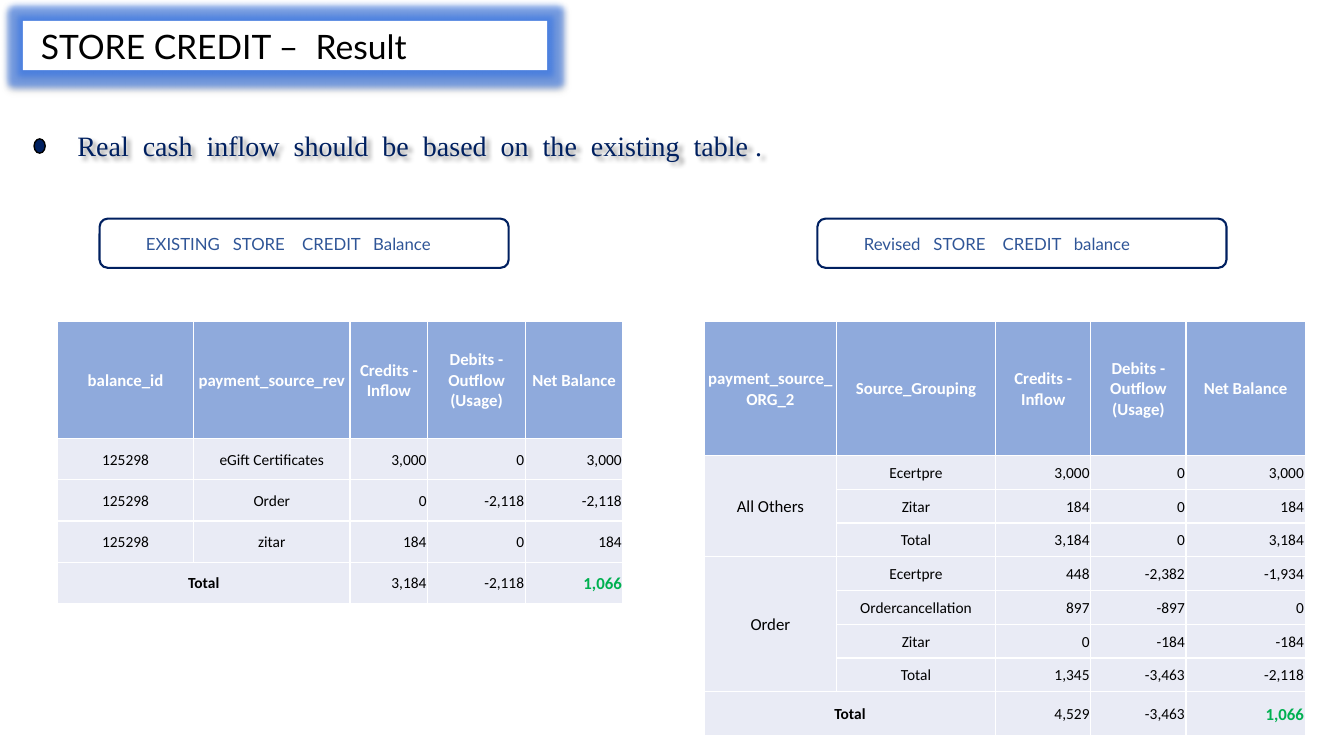
from lxml import etree
from pptx import Presentation
from pptx.dml.color import RGBColor
from pptx.enum.shapes import MSO_SHAPE
from pptx.enum.text import MSO_ANCHOR, PP_ALIGN
from pptx.oxml import parse_xml
from pptx.oxml.ns import nsdecls, qn
from pptx.util import Cm, Pt

RECTANGLE, ROUNDED, OVAL = MSO_SHAPE.RECTANGLE, MSO_SHAPE.ROUNDED_RECTANGLE, MSO_SHAPE.OVAL
MIDDLE = MSO_ANCHOR.MIDDLE
LEFT, CENTER, RIGHT = PP_ALIGN.LEFT, PP_ALIGN.CENTER, PP_ALIGN.RIGHT

NAVY, BLUE, BLACK, WHITE, GREEN = "002060", "2F5597", "000000", "FFFFFF", "00B050"
HEADER_FILL, BODY_FILL = "8FAADC", "E9EBF5"

EXISTING_ROWS = [
    ["balance_id", "payment_source_rev", "Credits - Inflow", "Debits - Outflow (Usage)", "Net Balance"],
    ["125298", "eGift Certificates", "3,000", "0", "3,000"],
    ["125298", "Order", "0", "-2,118", "-2,118"],
    ["125298", "zitar", "184", "0", "184"],
    ["Total", None, "3,184", "-2,118", "1,066"],
]
REVISED_ROWS = [
    ["payment_source_ORG_2", "Source_Grouping", "Credits - Inflow", "Debits - Outflow (Usage)", "Net Balance"],
    ["All Others", "Ecertpre", "3,000", "0", "3,000"],
    [None, "Zitar", "184", "0", "184"],
    [None, "Total", "3,184", "0", "3,184"],
    ["Order", "Ecertpre", "448", "-2,382", "-1,934"],
    [None, "Ordercancellation", "897", "-897", "0"],
    [None, "Zitar", "0", "-184", "-184"],
    [None, "Total", "1,345", "-3,463", "-2,118"],
    ["Total", None, "4,529", "-3,463", "1,066"],
]


def rgb(color):
    return RGBColor.from_string(color)


def set_values(target, values):
    for name, value in values.items():
        setattr(target, name, value)


def write(frame, text, font, size, color, bold=False, align=LEFT):
    para = frame.paragraphs[0]
    para.alignment = align
    span = para.add_run()
    span.text = text
    set_values(span.font, {"name": font, "size": Pt(size), "bold": bold})
    span.font.color.rgb = rgb(color)


def add_box(page, kind, place, fill=None, line=None, width=1.5):
    """Place is left, top, width and height in centimetres."""
    box = page.shapes.add_shape(kind, *map(Cm, place))
    box.shadow.inherit = False
    if fill:
        box.fill.solid()
        box.fill.fore_color.rgb = rgb(fill)
    else:
        box.fill.background()
    if line:
        box.line.color.rgb = rgb(line)
        box.line.width = Pt(width)
    else:
        box.line.fill.background()
    return box


def add_effect(box, tag, color, opacity, **sizes):
    effects = box._element.spPr.find(qn("a:effectLst"))
    effect = etree.SubElement(effects, qn(tag), {name: str(size) for name, size in sizes.items()})
    tint = etree.SubElement(effect, qn("a:srgbClr"), val=color)
    etree.SubElement(tint, qn("a:alpha"), val=str(opacity * 1000))


def add_title(page, text):
    box = add_box(page, RECTANGLE, (0.58, 0.53, 13.21, 1.24), fill=WHITE)
    add_effect(box, "a:glow", "3A78E8", 60, rad=Pt(8))
    add_effect(box, "a:outerShdw", BLACK, 32, blurRad=Pt(3.5), dist=Pt(2.2), dir=90 * 60000)
    set_values(box.text_frame, {"vertical_anchor": MIDDLE, "word_wrap": True, "margin_left": Cm(0.45)})
    write(box.text_frame, text, "Lato", 24, BLACK)


def add_statement(page, text):
    add_box(page, OVAL, (0.86, 3.5, 0.28, 0.36), fill=NAVY, line=BLACK, width=1)
    box = add_box(page, ROUNDED, (1.63, 2.9, 23.44, 1.5))
    add_effect(box, "a:outerShdw", BLACK, 43, blurRad=Pt(3), dist=Pt(3), dir=45 * 60000)
    set_values(box.text_frame, {"vertical_anchor": MIDDLE, "word_wrap": True})
    write(box.text_frame, text, "Times New Roman", 20, NAVY)


def add_label(page, left, text):
    add_box(page, ROUNDED, (left, 5.51, 10.31, 1.24), line=NAVY)
    box = page.shapes.add_textbox(Cm(left + 0.92), Cm(5.77), Cm(9.4), Cm(0.77))
    box.text_frame.word_wrap = True
    write(box.text_frame, text, "Lato", 12, BLUE)


def add_borders(cell):
    properties = cell._tc.get_or_add_tcPr()
    for side in "LRTB":
        properties.append(parse_xml(
            f'<a:ln{side} {nsdecls("a")} w="{Pt(1)}"><a:solidFill>'
            f'<a:srgbClr val="{WHITE}"/></a:solidFill></a:ln{side}>'))


def cell_style(row, column, last_row, last_column, merged):
    """Give the text format that a cell's place in the table calls for."""
    style = {"size": 11, "color": BLACK, "align": RIGHT if column > 1 else CENTER}
    if row == 0:
        style.update(size=12, color=WHITE, bold=True, align=CENTER)
    elif row == last_row and column == 0:
        style.update(bold=True)
    elif row == last_row and column == last_column:
        style.update(size=12, color=GREEN, bold=True)
    elif merged:
        style.update(size=12)
    return style


def add_balance_table(page, left, widths, heights, rows, merges):
    """Merges lists pairs of first and last cell, each as row and column."""
    frame = page.shapes.add_table(len(rows), len(widths), Cm(left), Cm(8.1),
                                  Cm(sum(widths)), Cm(sum(heights)))
    table = frame.table
    for column, width in zip(table.columns, widths):
        column.width = Cm(width)
    for row, height in zip(table.rows, heights):
        row.height = Cm(height)
    for first, last in merges:
        table.cell(*first).merge(table.cell(*last))
    for r, values in enumerate(rows):
        for c, text in enumerate(values):
            cell = table.cell(r, c)
            add_borders(cell)
            cell.fill.solid()
            cell.fill.fore_color.rgb = rgb(BODY_FILL if r else HEADER_FILL)
            set_values(cell, {"vertical_anchor": MIDDLE, "margin_left": Cm(0.03), "margin_right": Cm(0.03),
                              "margin_top": Cm(0.03), "margin_bottom": 0})
            if text:
                style = cell_style(r, c, len(rows) - 1, len(widths) - 1, cell.is_merge_origin)
                write(cell.text_frame, text, "Calibri", **style)


def main():
    deck = Presentation()
    set_values(deck, {"slide_width": Cm(33.87), "slide_height": Cm(19.05)})
    page = deck.slides.add_slide(deck.slide_layouts[6])
    add_title(page, "STORE CREDIT –  Result")
    add_statement(page, "Real  cash  inflow  should  be  based  on  the  existing  table .")
    add_label(page, 2.51, "EXISTING   STORE    CREDIT   Balance")
    add_label(page, 20.6, "Revised   STORE    CREDIT   balance")
    add_balance_table(page, 1.45, [3.43, 3.94, 1.96, 2.46, 2.46], [2.95] + [1.04] * 4,
                      EXISTING_ROWS, [((4, 0), (4, 1))])
    add_balance_table(page, 17.75, [3.33, 4.01, 2.4, 2.4, 3], [3.38] + [0.85] * 7 + [1.11],
                      REVISED_ROWS, [((1, 0), (3, 0)), ((4, 0), (7, 0)), ((8, 0), (8, 1))])
    deck.save("out.pptx")


if __name__ == "__main__":
    main()
